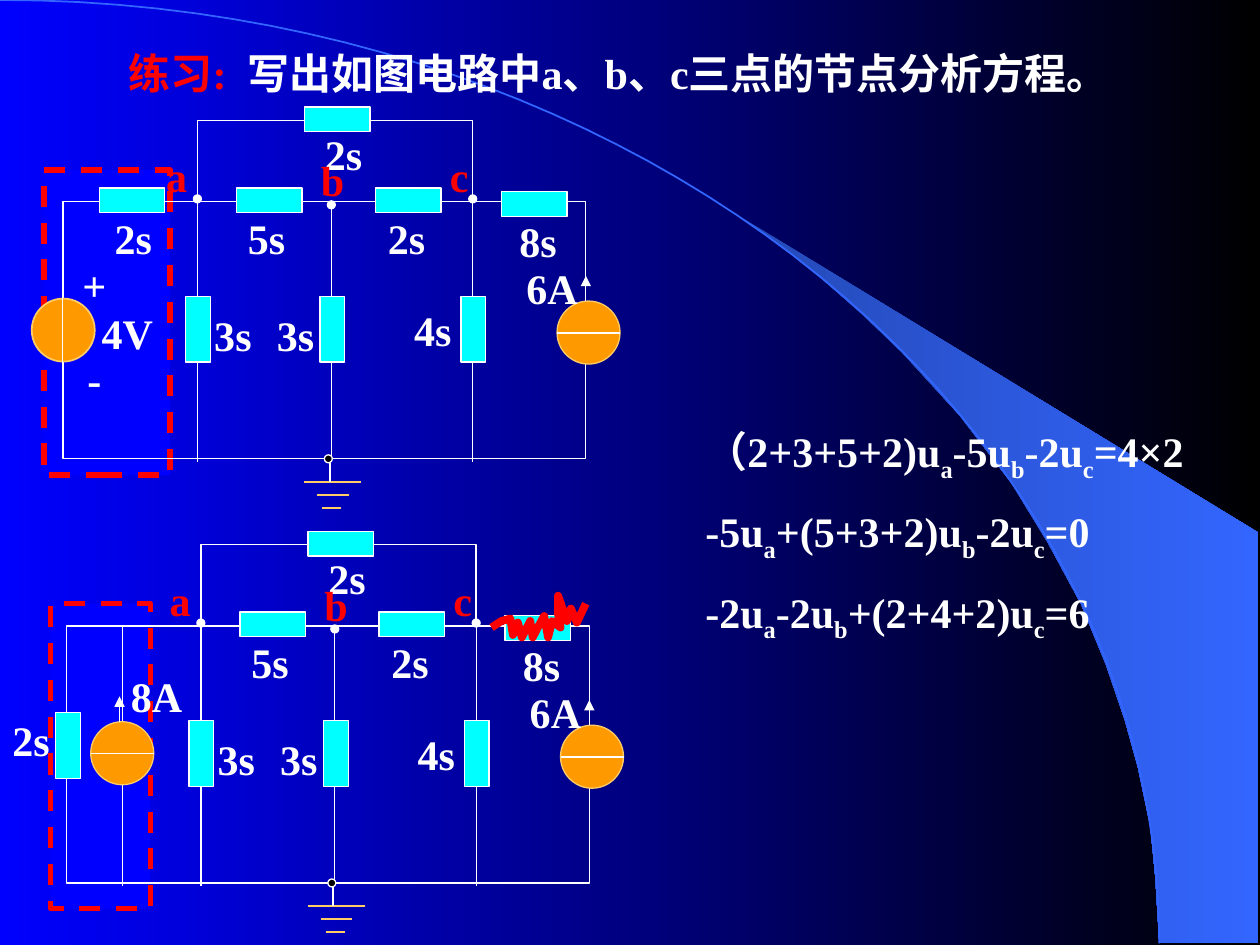
from dataclasses import dataclass
from typing import Any, NamedTuple, Optional

import lxml.etree
import pptx
import pptx.dml.color
import pptx.enum.dml
import pptx.enum.shapes
import pptx.enum.text
import pptx.oxml.ns
import pptx.util

Cm = pptx.util.Cm
Pt = pptx.util.Pt
PRESET = pptx.enum.shapes.MSO_SHAPE


@dataclass(frozen=True)
class Theme:
    blue: str = "0000FF"
    black: str = "000000"
    white: str = "FFFFFF"
    red: str = "FF0000"
    cyan: str = "00FFFF"
    orange: str = "FF9900"
    gold: str = "FFCC66"
    arc: str = "3366FF"
    arc_shade: str = "2449B6"
    font: str = "Times New Roman"
    text_size: float = 24
    wire: float = 0.75
    ground: float = 1
    dash: float = 3
    scribble: float = 4.5


THEME = Theme()


class Resistor(NamedTuple):
    left: float
    top: float
    upright: bool = False


class Label(NamedTuple):
    text: str
    left: float
    top: float
    color: str = THEME.white


class Wire(NamedTuple):
    x1: float
    y1: float
    x2: float
    y2: float
    color: str = THEME.white
    width: float = THEME.wire
    arrow: bool = False


@dataclass(frozen=True)
class Canvas:
    shapes: Any
    left: float = 0
    top: float = 0


RESISTORS = [Resistor(4.77, 3.79), Resistor(7.57, 3.79), Resistor(6.14, 2.16), Resistor(10.11, 3.86),
             Resistor(3.33, 6.39, True), Resistor(6.04, 6.39, True), Resistor(8.88, 6.39, True)]
LABELS = [Label("6A", 10.36, 5.16), Label("3s", 4.07, 6.12), Label("3s", 5.33, 6.12),
          Label("4s", 8.1, 6.02), Label("2s", 7.57, 4.16), Label("2s", 6.3, 2.46),
          Label("5s", 4.75, 4.16), Label("8s", 10.22, 4.22), Label("a", 3.1, 2.9, THEME.red),
          Label("b", 6.22, 3.0, THEME.red), Label("c", 8.82, 2.9, THEME.red)]
NODES = [(3.9, 3.93), (6.6, 4.05), (9.45, 3.93)]
COLUMNS = [3.98, 6.68, 9.53]
WIRE_TOP, WIRE_BOTTOM = 4.07, 9.31
GROUND = [Wire(6.13, 9.71, 7.28, 9.71, THEME.gold, THEME.ground),
          Wire(6.4, 9.98, 7.03, 9.98, THEME.gold, THEME.ground),
          Wire(6.5, 10.24, 6.88, 10.24, THEME.gold, THEME.ground),
          Wire(6.65, 9.3, 6.65, 9.71, THEME.white, THEME.ground)]
EQUATIONS = ["（2+3+5+2)u_a-5u_b-2u_c=4×2", "-5u_a+(5+3+2)u_b-2u_c=0", "-2u_a-2u_b+(2+4+2)u_c=6"]
SLIVER = [(23.37, 19), (25.37, 19.02), (25.37, 10.74), (14.96, 4.39), (15.85, 5.05), (16.59, 5.64),
          (17.4, 6.35), (18.19, 7.11), (19.35, 8.38), (20.4, 9.75), (21.13, 10.95), (21.79, 12.17),
          (22.3, 13.41), (22.68, 14.53), (22.94, 15.47), (23.19, 16.66), (23.29, 17.68)]
ARC = [(0, 0), (12.9, 0), (23.37, 8.51), (23.37, 19.02)]
SCRIBBLE = [(9.91, 12.65), (10.11, 12.52), (10.29, 12.47), (10.34, 12.8), (10.44, 12.55),
            (10.52, 12.85), (10.69, 12.52), (10.74, 12.85), (10.87, 12.6), (10.97, 12.42),
            (11.05, 12.85), (11.13, 12.52), (11.3, 12.65), (11.25, 12.37), (11.25, 12.01),
            (11.43, 12.52), (11.51, 12.27), (11.63, 12.55), (11.81, 12.17)]


def rgb(color: str) -> Any:
    return pptx.dml.color.RGBColor.from_string(color)


def paint_gradient(fill: Any, first: str, last: str) -> None:
    fill.gradient()
    fill.gradient_angle = 0
    for stop, color in zip(fill.gradient_stops, (first, last)):
        stop.color.rgb = rgb(color)


def set_line(line: Any, color: str, width: float) -> None:
    line.color.rgb = rgb(color)
    line.width = Pt(width)


def draw_shape(canvas: Canvas, kind: Any, left: float, top: float, width: float, height: float,
               fill: Optional[str] = None, line: str = THEME.white, line_width: float = THEME.wire) -> Any:
    shape = canvas.shapes.add_shape(kind, Cm(canvas.left + left), Cm(canvas.top + top), Cm(width), Cm(height))
    shape.shadow.inherit = False
    if fill:
        shape.fill.solid()
        shape.fill.fore_color.rgb = rgb(fill)
    else:
        shape.fill.background()
    set_line(shape.line, line, line_width)
    return shape


def draw_path(shapes: Any, points: list, close: bool = False) -> Any:
    start, *rest = [(Cm(x), Cm(y)) for x, y in points]
    builder = shapes.build_freeform(*start)
    builder.add_line_segments(rest, close=close)
    shape = builder.convert_to_shape()
    shape.shadow.inherit = False
    shape.fill.background()
    return shape


def draw_wire(canvas: Canvas, wire: Wire) -> None:
    connector = canvas.shapes.add_connector(
        pptx.enum.shapes.MSO_CONNECTOR.STRAIGHT,
        Cm(canvas.left + wire.x1), Cm(canvas.top + wire.y1), Cm(canvas.left + wire.x2), Cm(canvas.top + wire.y2))
    set_line(connector.line, wire.color, wire.width)
    properties = connector.element.spPr
    if wire.arrow:
        outline = properties.find(pptx.oxml.ns.qn("a:ln"))
        lxml.etree.SubElement(outline, pptx.oxml.ns.qn("a:tailEnd"), type="triangle")
    lxml.etree.SubElement(properties, pptx.oxml.ns.qn("a:effectLst"))


def draw_resistor(canvas: Canvas, resistor: Resistor) -> None:
    shape = draw_shape(canvas, PRESET.RECTANGLE, resistor.left, resistor.top, 1.32, 0.5, THEME.cyan)
    shape.rotation = 90 if resistor.upright else 0


def style_paragraph(paragraph: Any) -> None:
    paragraph.font.name = THEME.font
    paragraph.font.size = Pt(THEME.text_size)
    paragraph.font.bold = True


def draw_label(canvas: Canvas, label: Label, width: float = 1.7, centered: bool = False) -> None:
    box = canvas.shapes.add_textbox(Cm(canvas.left + label.left), Cm(canvas.top + label.top), Cm(width), Cm(1.27))
    box.text_frame.word_wrap = True
    paragraph = box.text_frame.paragraphs[0]
    paragraph.text = label.text
    style_paragraph(paragraph)
    paragraph.font.color.rgb = rgb(label.color)
    if centered:
        paragraph.alignment = pptx.enum.text.PP_ALIGN.CENTER


def draw_current_source(canvas: Canvas, left: float, top: float) -> None:
    draw_shape(canvas, PRESET.OVAL, left, top, 1.27, 1.27, THEME.orange, THEME.gold)
    draw_wire(canvas, Wire(left, top + 0.64, left + 1.27, top + 0.64))
    draw_wire(canvas, Wire(left + 0.58, top, left + 0.58, top - 0.51, arrow=True))


def draw_circuit(slide: Any, left: float, top: float) -> Canvas:
    canvas = Canvas(slide.shapes.add_group_shape().shapes, left, top)
    draw_shape(canvas, PRESET.RECTANGLE, 1.27, WIRE_TOP, 10.54, 5.18)
    draw_shape(canvas, PRESET.RECTANGLE, 3.98, 2.43, 5.55, 1.64)
    for x in COLUMNS:
        draw_wire(canvas, Wire(x, WIRE_TOP, x, WIRE_BOTTOM))
    draw_current_source(canvas, 11.23, 6.07)
    for resistor in RESISTORS:
        draw_resistor(canvas, resistor)
    for x, y in NODES:
        draw_shape(canvas, PRESET.OVAL, x, y, 0.16, 0.16, THEME.white)
    for label in LABELS:
        draw_label(canvas, label)
    for wire in GROUND:
        draw_wire(canvas, wire)
    draw_shape(canvas, PRESET.OVAL, 6.54, 9.17, 0.16, 0.16, THEME.black)
    return canvas


def draw_voltage_branch(canvas: Canvas) -> None:
    source = draw_shape(canvas, PRESET.OVAL, 0.64, 6.02, 1.27, 1.27, THEME.orange, THEME.gold, 1)
    source.rotation = 90
    draw_wire(canvas, Wire(1.26, 5.9, 1.26, 7.5))
    draw_resistor(canvas, Resistor(2.0, 3.79))
    for sign, top in (("+", 5.1), ("-", 7.0)):
        draw_label(canvas, Label(sign, 1.27, top), 1.27, True)
    for label in (Label("4V", 1.8, 6.07), Label("2s", 2.06, 4.16)):
        draw_label(canvas, label)


def draw_current_branch(canvas: Canvas) -> None:
    draw_resistor(canvas, Resistor(0.64, 6.23, True))
    draw_wire(canvas, Wire(2.4, WIRE_TOP, 2.4, WIRE_BOTTOM))
    draw_current_source(canvas, 1.76, 6.0)
    for label in (Label("2s", -0.07, 5.72), Label("8A", 2.32, 4.84)):
        draw_label(canvas, label)


def draw_backdrop(slide: Any) -> None:
    paint_gradient(slide.background.fill, THEME.blue, THEME.black)
    group = slide.shapes.add_group_shape()
    sliver = draw_path(group.shapes, SLIVER, close=True)
    paint_gradient(sliver.fill, THEME.arc_shade, THEME.arc)
    sliver.line.fill.background()
    steps = [step / 48 for step in range(49)]
    curve = [tuple(sum(weight * point[axis] for weight, point in zip(
        ((1 - t) ** 3, 3 * t * (1 - t) ** 2, 3 * t * t * (1 - t), t ** 3), ARC)) for axis in (0, 1))
        for t in steps]
    set_line(draw_path(group.shapes, curve).line, THEME.arc, 1)
    slide.shapes.title.element.addprevious(group.element)


def write_title(title: Any) -> None:
    title.left, title.top, title.width, title.height = Cm(2.34), Cm(0.84), Cm(22.07), Cm(1.27)
    frame = title.text_frame
    frame.vertical_anchor = pptx.enum.text.MSO_ANCHOR.TOP
    frame.auto_size = pptx.enum.text.MSO_AUTO_SIZE.NONE
    paragraph = frame.paragraphs[0]
    paragraph.alignment = pptx.enum.text.PP_ALIGN.LEFT
    style_paragraph(paragraph)
    for text, color in (("练习:  ", THEME.red), ("写出如图电路中a、b、c三点的节点分析方程。", THEME.white)):
        run = paragraph.add_run()
        run.text = text
        run.font.color.rgb = rgb(color)


def write_equations(slide: Any) -> None:
    frame = slide.shapes.add_textbox(Cm(13.97), Cm(8.46), Cm(10.69), Cm(4.32)).text_frame
    frame.word_wrap = True
    for index, equation in enumerate(EQUATIONS):
        paragraph = frame.add_paragraph() if index else frame.paragraphs[0]
        paragraph.space_before = Pt(13 if index else 0)
        style_paragraph(paragraph)
        paragraph.font.color.rgb = rgb(THEME.white)
        first, *terms = equation.split("_")
        paragraph.add_run().text = first
        for term in terms:
            subscript = paragraph.add_run()
            subscript.text = term[0]
            subscript.font._element.set("baseline", "-25000")
            paragraph.add_run().text = term[1:]


def main() -> None:
    presentation = pptx.Presentation()
    presentation.slide_width, presentation.slide_height = Cm(25.4), Cm(19.05)
    slide = presentation.slides.add_slide(presentation.slide_layouts[5])
    draw_backdrop(slide)
    write_title(slide.shapes.title)
    for left, top, width in ((0.89, 3.43, 2.54), (1.02, 12.17, 2.01)):
        box = draw_shape(Canvas(slide.shapes), PRESET.RECTANGLE, left, top, width, 6.15,
                         THEME.blue, THEME.red, THEME.dash)
        box.line.dash_style = pptx.enum.dml.MSO_LINE.DASH
    draw_voltage_branch(draw_circuit(slide, 0, 0))
    draw_current_branch(draw_circuit(slide, 0.07, 8.55))
    set_line(draw_path(slide.shapes, SCRIBBLE).line, THEME.red, THEME.scribble)
    write_equations(slide)
    presentation.save("out.pptx")


if __name__ == "__main__":
    main()
